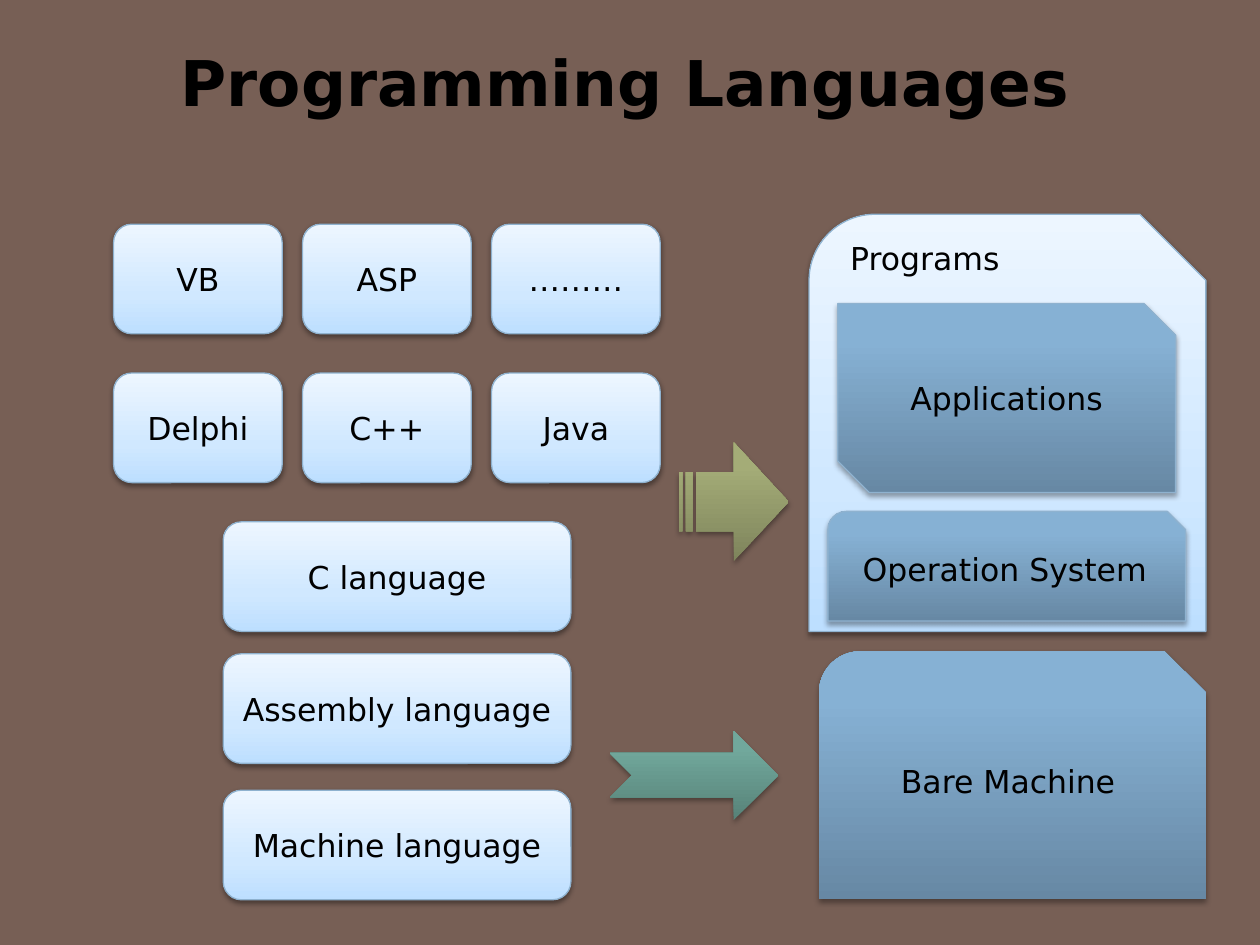
"""Build the Programming Languages slide."""
import copy
from dataclasses import dataclass

from lxml import etree
from pptx import Presentation
from pptx import util as u
from pptx.dml import color
from pptx.enum import shapes, text
from pptx.oxml import ns

Kind = shapes.MSO_SHAPE


@dataclass(frozen=True)
class Finish:
    """Gradient stops from bottom to top, with the shadow that goes with them."""
    stops: tuple
    shadow_opacity: int = 35
    shadow_distance: float = 1.8


@dataclass(frozen=True)
class Theme:
    """Colours, finishes and type of the slide."""
    font: str = "DejaVu Sans"
    title_size: int = 36
    body_size: int = 18
    ink: str = "000000"
    background: str = "775F55"
    outline: str = "8FB2CF"
    outline_width: float = 0.75
    shadow_blur: float = 3.1
    pale: Finish = Finish(((0, "BDDFFF"), (0.35, "D0E8FF"), (1, "EDF6FF")), 38, 1.6)
    blue: Finish = Finish(((0, "6788A4"), (0.8, "86B1D4"), (1, "86B2D7")))
    teal: Finish = Finish(((0, "578278"), (0.8, "71A89C"), (1, "70AA9D")))
    olive: Finish = Finish(((0, "7E845C"), (0.8, "A4AC77"), (1, "A6AE76")))


THEME = Theme()


def rgb(value):
    """Return a colour from its hex value."""
    return color.RGBColor.from_string(value)


def lengths(box):
    """Return left, top, width and height as centimetre lengths."""
    return [u.Cm(value) for value in box]


def write(shape, words, size=THEME.body_size, bold=False, align=text.PP_ALIGN.CENTER):
    """Write one formatted run in a shape."""
    paragraph = shape.text_frame.paragraphs[0]
    paragraph.alignment = align
    run = paragraph.add_run()
    run.text = words
    run.font.name = THEME.font
    run.font.size = u.Pt(size)
    run.font.bold = bold
    run.font.color.rgb = rgb(THEME.ink)


def apply_gradient(shape, stops):
    """Fill a shape with a three-stop vertical gradient."""
    shape.fill.gradient()
    shape.fill.gradient_angle = 90
    stop_list = shape._element.spPr.find(".//" + ns.qn("a:gsLst"))
    stop_list.insert(1, copy.deepcopy(stop_list[0]))
    for stop, (position, value) in zip(shape.fill.gradient_stops, stops):
        stop.position = position
        stop.color.rgb = rgb(value)


def apply_shadow(shape, finish):
    """Give a shape a soft shadow that falls straight down."""
    shape.shadow.inherit = False
    effects = shape._element.spPr.find(ns.qn("a:effectLst"))
    shadow = etree.SubElement(
        effects, ns.qn("a:outerShdw"), blurRad=str(u.Pt(THEME.shadow_blur)),
        dist=str(u.Pt(finish.shadow_distance)), dir="5400000", rotWithShape="0")
    tint = etree.SubElement(shadow, ns.qn("a:srgbClr"), val=THEME.ink)
    etree.SubElement(tint, ns.qn("a:alpha"), val=str(finish.shadow_opacity * 1000))


def add_block(slide, kind, box, finish, words="", outlined=True):
    """Add a gradient shape with optional centred words."""
    shape = slide.shapes.add_shape(kind, *lengths(box))
    apply_gradient(shape, finish.stops)
    if outlined:
        shape.line.color.rgb = rgb(THEME.outline)
        shape.line.width = u.Pt(THEME.outline_width)
    else:
        shape.line.fill.background()
    apply_shadow(shape, finish)
    if words:
        frame = shape.text_frame
        frame.word_wrap = True
        frame.vertical_anchor = text.MSO_ANCHOR.MIDDLE
        frame.margin_left = frame.margin_right = u.Cm(0.1)
        write(shape, words)


def add_title(slide, words):
    """Place and format the title placeholder."""
    title = slide.shapes.title
    title.left, title.top, title.width, title.height = lengths((0.3, 0.13, 24.61, 3))
    title.text_frame.vertical_anchor = text.MSO_ANCHOR.MIDDLE
    write(title, words, THEME.title_size, bold=True)


def add_label(slide, box, words):
    """Add a left-aligned text box."""
    label = slide.shapes.add_textbox(*lengths(box))
    label.text_frame.word_wrap = True
    label.text_frame.auto_size = text.MSO_AUTO_SIZE.SHAPE_TO_FIT_TEXT
    write(label, words, align=text.PP_ALIGN.LEFT)


def add_languages(slide):
    """Add the grid of high-level languages and the stack of lower levels."""
    height = 2.21
    for row, names in enumerate((("VB", "ASP", "………"), ("Delphi", "C++", "Java"))):
        for column, name in enumerate(names):
            box = (2.29 + 3.81 * column, 4.52 + 3 * row, 3.4, height)
            add_block(slide, Kind.ROUNDED_RECTANGLE, box, THEME.pale, name)
    levels = ((10.52, "C language"), (13.18, "Assembly language"), (15.93, "Machine language"))
    for top, name in levels:
        add_block(slide, Kind.ROUNDED_RECTANGLE, (4.5, top, 7.01, height), THEME.pale, name)


def add_computer(slide):
    """Add the programs panel and the bare machine below it."""
    corner = Kind.SNIP_ROUND_RECTANGLE
    add_block(slide, corner, (16.31, 4.32, 8, 8.41), THEME.pale)
    add_label(slide, (16.89, 4.7, 5.79, 1.02), "Programs")
    add_block(slide, Kind.SNIP_2_DIAG_RECTANGLE, (16.89, 6.12, 6.81, 3.81),
              THEME.blue, "Applications")
    add_block(slide, corner, (16.69, 10.31, 7.21, 2.21), THEME.blue, "Operation System")
    add_block(slide, corner, (16.51, 13.13, 7.8, 5), THEME.blue, "Bare Machine", outlined=False)


def add_arrows(slide):
    """Add the arrows from the languages to the computer."""
    add_block(slide, Kind.STRIPED_RIGHT_ARROW, (13.69, 8.92, 2.21, 2.39),
              THEME.olive, outlined=False)
    add_block(slide, Kind.NOTCHED_RIGHT_ARROW, (12.29, 14.73, 3.4, 1.8),
              THEME.teal, outlined=False)


def main():
    """Build and save the presentation."""
    presentation = Presentation()
    presentation.slide_width, presentation.slide_height = u.Cm(25.4), u.Cm(19.05)
    slide = presentation.slides.add_slide(presentation.slide_layouts.get_by_name("Title Only"))
    slide.background.fill.solid()
    slide.background.fill.fore_color.rgb = rgb(THEME.background)
    add_title(slide, "Programming Languages")
    add_languages(slide)
    add_computer(slide)
    add_arrows(slide)
    presentation.save("out.pptx")


if __name__ == "__main__":
    main()
